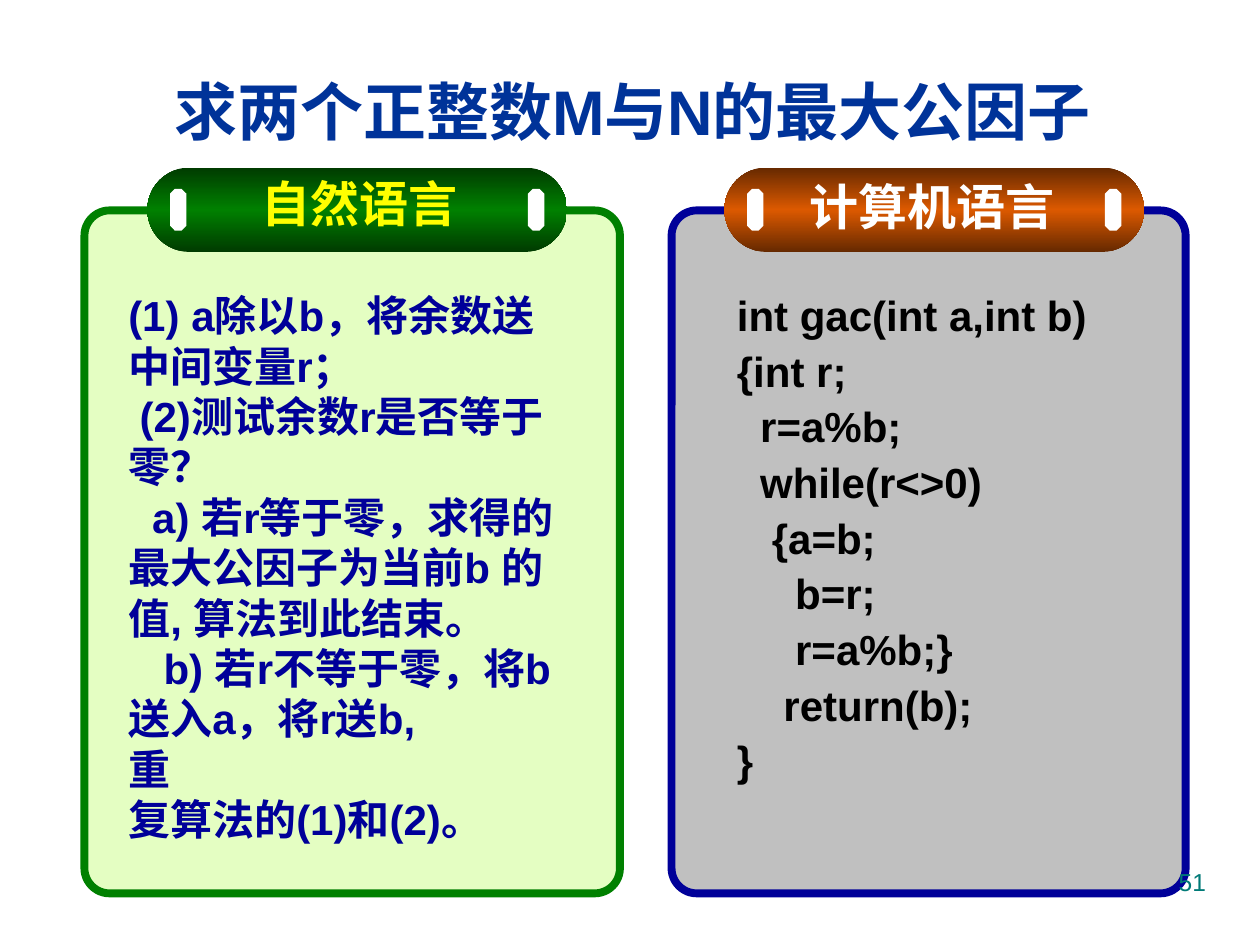
from copy import deepcopy

from lxml import etree
from pptx import Presentation
from pptx.dml import color
from pptx.enum import shapes, text
from pptx.oxml import ns
from pptx.util import Inches, Pt

STEPS = [
    "(1)\ta除以b，将余数送中间变量r；",
    "(2)\t测试余数r是否等于零？",
    "a) 若r等于零，求得的最大公因子为当前b 的值, 算法到此结束。",
    "b) 若r不等于零，将b送入a，将r送b,\v重",
    "复算法的(1)和(2)。",
]
INDENTS = [0, 0.09, 0.19, 0.28, 0]
TABS = {0: 0.59, 1: 0.77}
CODE = [
    "int gac(int a,int b)",
    "{int r;",
    "  r=a%b;",
    "  while(r<>0)",
    "   {a=b;",
    "     b=r;",
    "     r=a%b;}",
    "    return(b);",
    "}",
]


def rgb(tone):
    return color.RGBColor.from_string(tone)


def style(para, size, tone, bold=True):
    for run in para.runs:
        font = run.font
        font.name = "Arial"
        font.size = Pt(size)
        font.bold = bold
        font.color.rgb = rgb(tone)


def add_text(slide, box, lines, size, tone, gap=0, bold=True, wrap=True):
    frame = slide.shapes.add_textbox(*map(Inches, box)).text_frame
    frame.word_wrap = wrap
    frame.text = "\n".join(lines)
    for i, para in enumerate(frame.paragraphs):
        if i and gap:
            para.space_before = Pt(gap)
        style(para, size, tone, bold)
    return frame


def add_shape(parent, kind, box, adjust):
    shape = parent.shapes.add_shape(kind, *map(Inches, box))
    shape.adjustments[0] = adjust
    shape.shadow.inherit = False
    return shape


def add_panel(slide, left, width, fill, edge):
    shape = add_shape(slide, shapes.MSO_SHAPE.ROUNDED_RECTANGLE,
                      (left, 1.67, width, 5.42), 0.2 / width)
    shape.fill.solid()
    shape.fill.fore_color.rgb = rgb(fill)
    shape.line.color.rgb = rgb(edge)
    shape.line.width = Pt(4.5)


def shade(shape, dark, light):
    fill = shape.fill
    fill.gradient()
    fill.gradient_angle = 90
    stops = shape.element.spPr.find(ns.qn("a:gradFill")).find(ns.qn("a:gsLst"))
    stops.insert(1, deepcopy(stops[0]))
    for stop, place, tone in zip(fill.gradient_stops, (0, 0.5, 1),
                                 (dark, light, dark)):
        stop.position = place
        stop.color.rgb = rgb(tone)


def add_pill(slide, left, dark, light):
    group = slide.shapes.add_group_shape()
    pill = add_shape(group, shapes.MSO_SHAPE.ROUNDED_RECTANGLE,
                     (left, 1.33, 3.33, 0.67), 0.5)
    shade(pill, dark, light)
    pill.line.fill.background()
    for step in (3.02, 0.18):
        slot = add_shape(group, shapes.MSO_SHAPE.OCTAGON,
                         (left + step, 1.5, 0.13, 0.33), 0.29)
        slot.fill.solid()
        slot.fill.fore_color.rgb = rgb("FFFFFF")
        slot.line.fill.background()


def add_title(slide, words):
    title = slide.shapes.title
    title.left, title.top = Inches(0.35), Inches(0.25)
    title.width, title.height = Inches(9.34), Inches(1.25)
    frame = title.text_frame
    frame.text = words
    frame.auto_size = text.MSO_AUTO_SIZE.NONE
    frame.vertical_anchor = text.MSO_ANCHOR.MIDDLE
    para = frame.paragraphs[0]
    para.alignment = text.PP_ALIGN.CENTER
    style(para, 36, "003399")


def indent(frame):
    for i, para in enumerate(frame.paragraphs):
        props = para._p.get_or_add_pPr()
        props.set("marL", "0")
        props.set("indent", str(Inches(INDENTS[i])))
        if i in TABS:
            tabs = etree.SubElement(props, ns.qn("a:tabLst"))
            etree.SubElement(tabs, ns.qn("a:tab"),
                             pos=str(Inches(TABS[i])), algn="l")


def main():
    deck = Presentation()
    deck.slide_width, deck.slide_height = Inches(10), Inches(7.5)
    slide = deck.slides.add_slide(deck.slide_layouts[5])
    add_title(slide, "求两个正整数M与N的最大公因子")

    add_panel(slide, 5.33, 4.08, "C0C0C0", "000099")
    add_pill(slide, 5.75, "662900", "DC5900")
    add_text(slide, (6.33, 1.35, 2.14, 0.57), ["计算机语言"], 28, "FFFFFF",
             wrap=False)
    add_text(slide, (5.75, 2.25, 3.75, 4.04), CODE, 24, "000000", gap=3)

    add_panel(slide, 0.67, 4.25, "E4FEC2", "008000")
    steps = add_text(slide, (0.92, 2.25, 3.67, 4.86), STEPS, 24, "000099")
    indent(steps)
    add_pill(slide, 1.17, "003B00", "008000")
    add_text(slide, (1.98, 1.33, 1.75, 0.57), ["自然语言"], 28, "FFFF00",
             wrap=False)

    page = add_text(slide, (7.17, 6.83, 2.5, 0.52), ["51"], 14, "007A77",
                    bold=False)
    page.paragraphs[0].alignment = text.PP_ALIGN.RIGHT
    deck.save("out.pptx")


if __name__ == "__main__":
    main()
